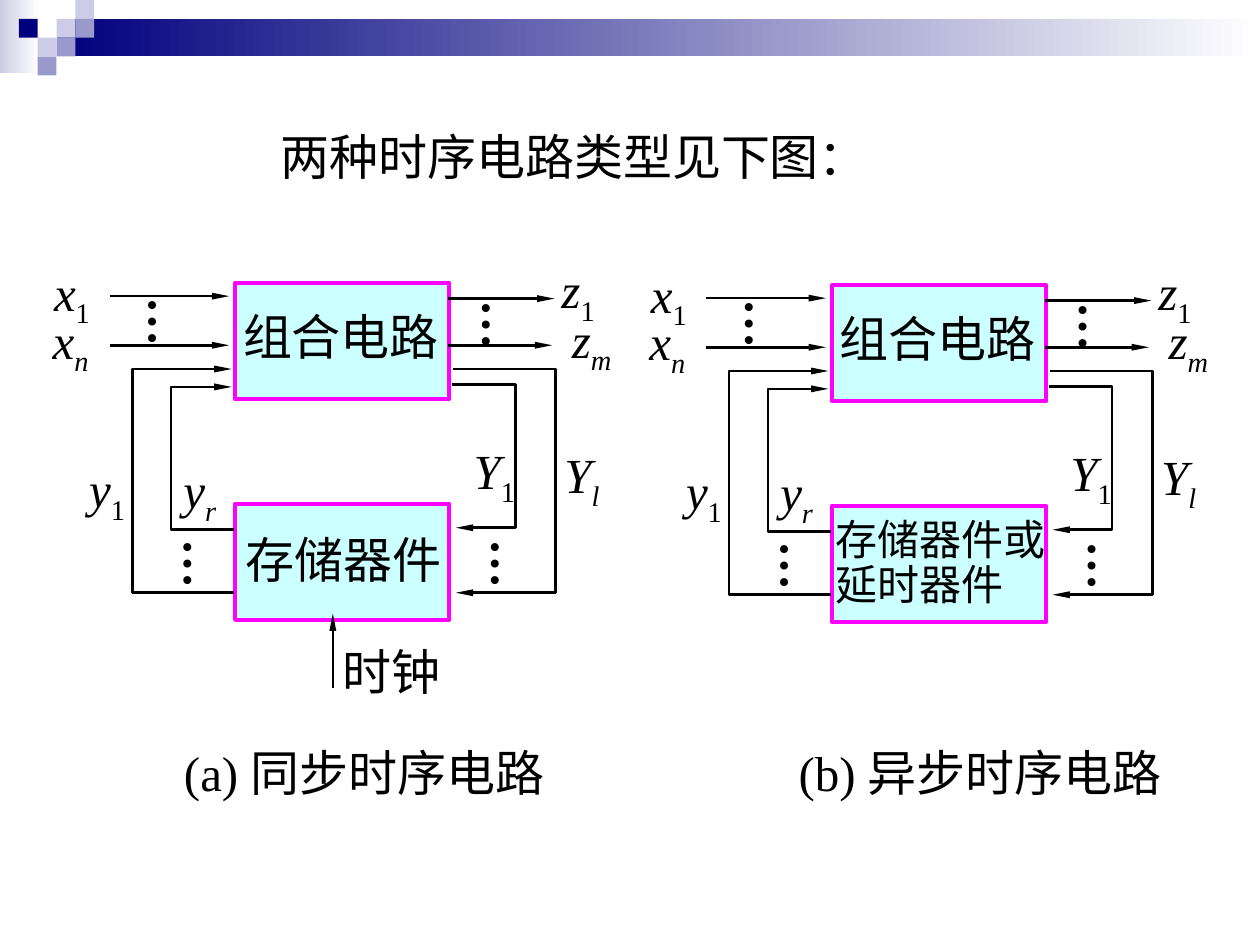
from lxml import etree
from pptx import Presentation
from pptx import util as u
from pptx.dml.color import RGBColor
from pptx.enum import shapes, text
from pptx.oxml.ns import qn

COLORS = {
    "navy": "00007D", "lilac": "CCCCE6", "violet": "9999CC", "white": "FFFFFF",
    "cyan": "CCFFFF", "magenta": "FF00FF", "black": "000000",
}


def color(name):
    return RGBColor.from_string(COLORS[name])


def add_run(paragraph, content, *, size=28, bold=False, italic=False,
            subscript=False):
    run = paragraph.add_run()
    run.text = content
    font = run.font
    font.name, font.size = "Times New Roman", u.Pt(size)
    font.bold, font.italic = bold, italic
    font.color.rgb = color("black")
    if subscript:
        run._r.get_or_add_rPr().set("baseline", "-25000")


class Diagram:
    """Holds the slide, the drawing offset in cm and the line style."""

    line_width = u.Pt(1.5)

    def __init__(self, slide):
        self.slide = slide
        self.offset = (0, 0)

    def point(self, x, y):
        return u.Cm(x + self.offset[0]), u.Cm(y + self.offset[1])

    def rectangle(self, x, y, width, height, fill, fade=False, outline=None):
        shape = self.slide.shapes.add_shape(
            shapes.MSO_SHAPE.RECTANGLE, *self.point(x, y), u.Cm(width), u.Cm(height))
        shape.shadow.inherit = False
        if fade:
            shape.fill.gradient()
            shape.fill.gradient_angle = 0
            for stop, name in zip(shape.fill.gradient_stops, (fill, "white")):
                stop.color.rgb = color(name)
                stop.position = 1 if name == "white" else 0
        else:
            shape.fill.solid()
            shape.fill.fore_color.rgb = color(fill)
        if outline:
            shape.line.color.rgb = color(outline)
            shape.line.width = u.Pt(2.25)
        else:
            shape.line.fill.background()

    def textbox(self, x, y, width, height, runs, wrap=False, line_spacing=None,
                vertical=False):
        box = self.slide.shapes.add_textbox(
            *self.point(x, y), u.Cm(width), u.Cm(height))
        frame = box.text_frame
        frame.word_wrap = wrap
        frame.auto_size = text.MSO_AUTO_SIZE.SHAPE_TO_FIT_TEXT
        side, bottom = (0.13, 0.37) if vertical else (0.25, 0.13)
        frame.margin_left = frame.margin_right = u.Cm(side)
        frame.margin_top, frame.margin_bottom = u.Cm(0.13), u.Cm(bottom)
        if vertical:
            frame._txBody.bodyPr.set("vert", "eaVert")
        paragraph = frame.paragraphs[0]
        paragraph.line_spacing = line_spacing
        for content, style in runs:
            add_run(paragraph, content, **style)

    def variable(self, x, y, name, index):
        self.textbox(x, y, 1.45, 1.6, [
            (name, {"italic": True}),
            (index, {"italic": not index.isdigit(), "subscript": True})])

    def dots(self, x, y):
        self.textbox(x, y, 1.68, 1.24, [("…", {"bold": True})], vertical=True)

    def label(self, x, y, width, content):
        self.textbox(x, y, width, 1.45, [(content, {})])

    def style_arrow(self, shape):
        shape.line.color.rgb = color("black")
        shape.line.width = self.line_width
        etree.SubElement(shape.line._get_or_add_ln(), qn("a:tailEnd"),
                         type="triangle", w="sm", len="lg")

    def arrow(self, start, end):
        connector = self.slide.shapes.add_connector(
            shapes.MSO_CONNECTOR.STRAIGHT, *self.point(*start), *self.point(*end))
        self.style_arrow(connector)
        etree.SubElement(connector._element.spPr, qn("a:effectLst"))

    def bent_arrow(self, start_x, start_y, turn_x, end_x, end_y):
        corners = [(turn_x, start_y), (turn_x, end_y), (end_x, end_y)]
        builder = self.slide.shapes.build_freeform(*self.point(start_x, start_y))
        builder.add_line_segments([self.point(*c) for c in corners], close=False)
        shape = builder.convert_to_shape()
        shape.shadow.inherit = False
        shape.fill.background()
        self.style_arrow(shape)


def draw_header(diagram):
    unit = 0.38
    diagram.rectangle(0, 0, 0.79, 1.47, "lilac", fade=True)
    diagram.rectangle(1.14, unit, 24.26, 0.76, "navy", fade=True)
    for column, row, fill in [(3, 1, "lilac"), (4, 0, "lilac"), (4, 1, "violet"),
                              (2, 2, "lilac"), (1, 1, "navy"), (3, 2, "violet"),
                              (2, 3, "violet")]:
        diagram.rectangle(column * unit, row * unit, unit, unit, fill)


def draw_circuit(diagram, offset, memory, memory_at, memory_size):
    diagram.offset = offset

    # Blocks
    for y in (5.71, 10.16):
        diagram.rectangle(4.74, y, 4.32, 2.34, "cyan", outline="magenta")
    for at, content, size in [((4.65, 6.19, 4.52, 1.32), "组合电路", 28),
                              (memory_at, memory, memory_size)]:
        diagram.textbox(*at, [(content, {"size": size})], wrap=True, line_spacing=0.9)

    # Inputs and outputs
    for start_x, end_x, y in [(2.21, 4.62, 5.97), (2.21, 4.62, 6.96),
                              (9.04, 11.18, 6.02), (9.04, 11.13, 6.96)]:
        diagram.arrow((start_x, y), (end_x, y))

    # Feedback loops
    for loop in [(4.72, 10.67, 3.45, 4.67, 7.8), (4.72, 11.95, 2.67, 4.67, 7.44),
                 (9.12, 7.75, 10.39, 9.19, 10.64), (9.14, 7.44, 11.2, 9.19, 11.95)]:
        diagram.bent_arrow(*loop)

    # Signal names
    for variable in [(0.84, 5.16, "x", "1"), (0.81, 6.12, "x", "n"),
                     (11.07, 5.11, "z", "1"), (11.28, 6.1, "z", "m"),
                     (1.55, 9.12, "y", "1"), (3.45, 9.14, "y", "r"),
                     (9.3, 8.76, "Y", "1"), (11.13, 8.84, "Y", "l")]:
        diagram.variable(*variable)
    for x, y in [(2.44, 5.87), (9.17, 5.92), (3.15, 10.74), (9.35, 10.74)]:
        diagram.dots(x, y)
    diagram.offset = (0, 0)


def main():
    presentation = Presentation()
    presentation.slide_width, presentation.slide_height = u.Cm(25.4), u.Cm(19.05)
    diagram = Diagram(presentation.slides.add_slide(presentation.slide_layouts[6]))

    # Header and title
    draw_header(diagram)
    diagram.label(5.41, 2.42, 12.4, "两种时序电路类型见下图：")

    # Synchronous circuit with its clock
    draw_circuit(diagram, (0, 0), "存储器件", (4.7, 10.67, 4.8, 1.32), 28)
    diagram.arrow((6.71, 13.87), (6.71, 12.37))
    diagram.label(6.65, 12.8, 2.6, "时钟")
    diagram.label(3.46, 14.83, 8.2, "(a) 同步时序电路")

    # Asynchronous circuit
    draw_circuit(diagram, (12.03, 0.04), "存储器件或延时器件",
                 (4.56, 10.3, 5.54, 2.08), 24)
    diagram.label(15.85, 14.83, 8.2, "(b) 异步时序电路")

    presentation.save("out.pptx")


if __name__ == "__main__":
    main()
